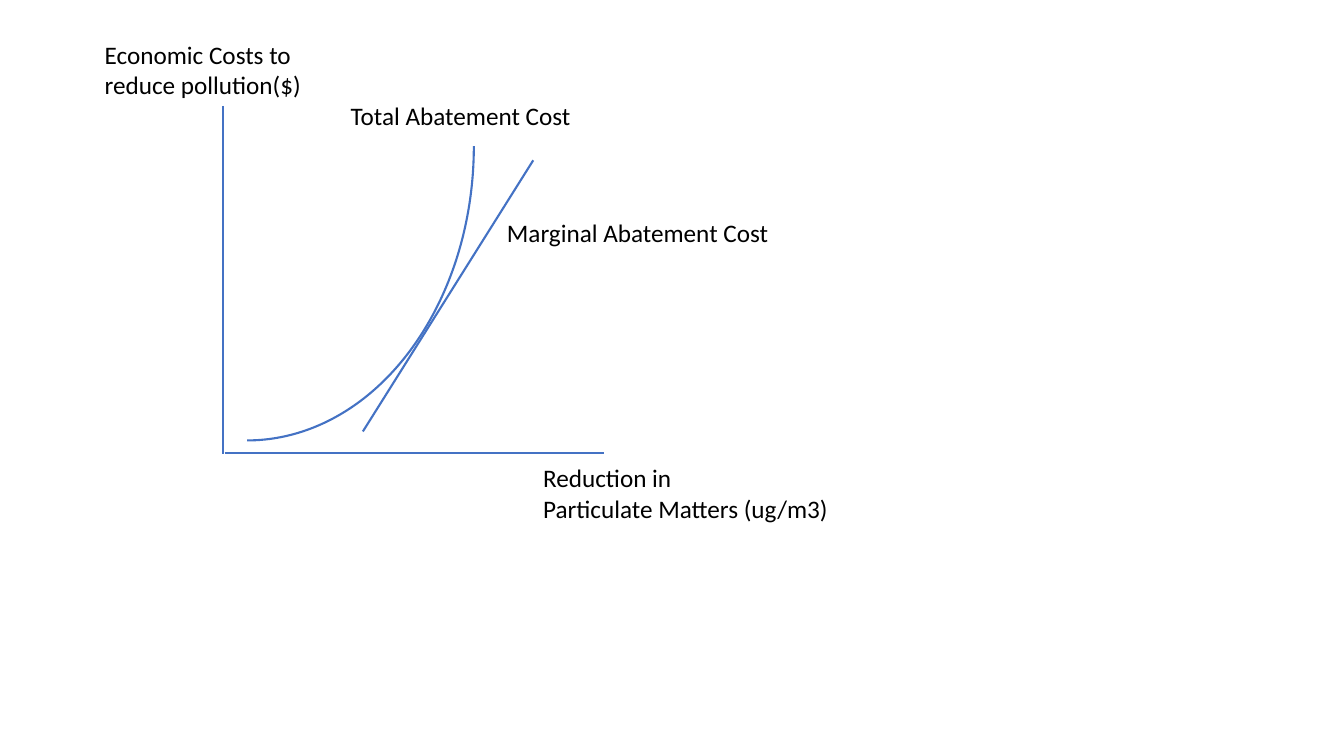
from pptx import Presentation
from pptx.dml.color import RGBColor
from pptx.enum.shapes import MSO_CONNECTOR, MSO_SHAPE
from pptx.enum.text import MSO_AUTO_SIZE
from pptx.oxml.ns import qn
from pptx.util import Pt
from lxml.etree import SubElement

COLORS = {"curve": "4472C4", "text": "000000"}


def style_line(line):
    line.color.rgb = RGBColor.from_string(COLORS["curve"])
    line.width = Pt(1.5)


deck = Presentation()
deck.slide_width, deck.slide_height = Pt(960), Pt(540)
page = deck.slides.add_slide(deck.slide_layouts[6])

# Axes and the straight marginal cost line: start x, start y, end x, end y
vertical_axis = (159.1, 75.6, 159.1, 324)
horizontal_axis = (160.5, 323.3, 431.3, 323.3)
marginal_cost = (259.2, 308.2, 380.9, 114.5)
for ends in (vertical_axis, horizontal_axis, marginal_cost):
    connector = page.shapes.add_connector(
        MSO_CONNECTOR.STRAIGHT, *[Pt(value) for value in ends])
    style_line(connector.line)
    SubElement(connector._element.spPr, qn("a:effectLst"))

# Total cost curve: a quarter arc turned to rise towards the right
total_cost = page.shapes.add_shape(
    MSO_SHAPE.ARC, Pt(-33.8), Pt(-57.6), Pt(420.5), Pt(324))
total_cost.rotation = 90
total_cost.shadow.inherit = False
total_cost.fill.background()
style_line(total_cost.line)

# Labels: left, top, width, height, paragraphs
labels = [
    (243.4, 68.4, 184.3, 29.1, ["Total Abatement Cost"]),
    (355, 151.9, 215.3, 29.1, ["Marginal Abatement Cost"]),
    (380.9, 326.9, 234, 50.9, ["Reduction in", "Particulate Matters (ug/m3)"]),
    (67.7, 24.5, 159.1, 50.9, ["Economic Costs to reduce pollution($)"]),
]
for left, top, width, height, lines in labels:
    box = page.shapes.add_textbox(Pt(left), Pt(top), Pt(width), Pt(height))
    frame = box.text_frame
    frame.word_wrap = True
    frame.auto_size = MSO_AUTO_SIZE.SHAPE_TO_FIT_TEXT
    frame.text = "\n".join(lines)
    for para in frame.paragraphs:
        para.font.name = "Calibri"
        para.font.size = Pt(18)
        para.font.color.rgb = RGBColor.from_string(COLORS["text"])

deck.save("out.pptx")
